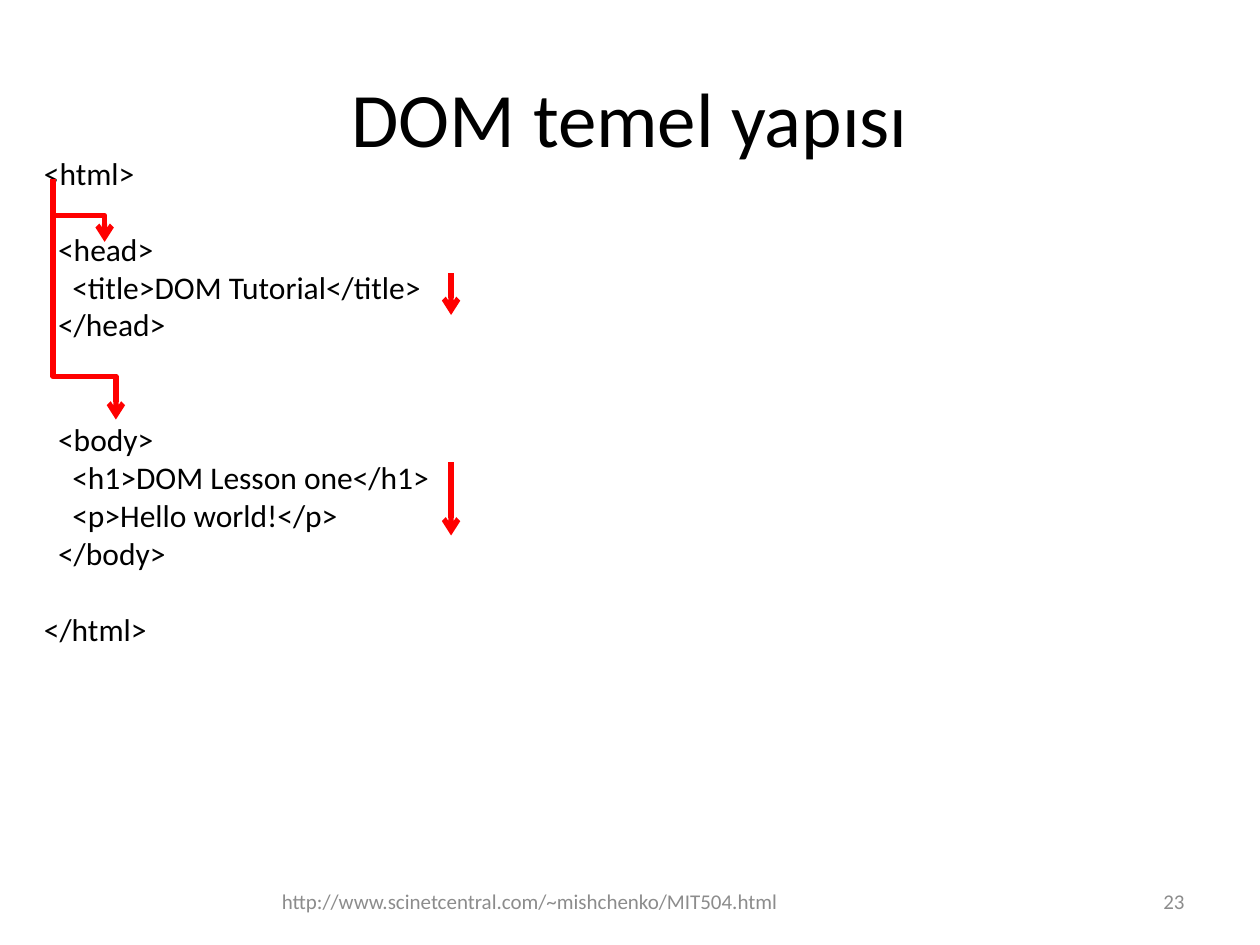
from lxml import etree
from pptx import Presentation
from pptx.dml.color import RGBColor
from pptx.enum.shapes import MSO_CONNECTOR
from pptx.enum.text import MSO_ANCHOR, PP_ALIGN
from pptx.oxml.ns import qn
from pptx.util import Inches, Pt

LEFT, CENTER, RIGHT = PP_ALIGN.LEFT, PP_ALIGN.CENTER, PP_ALIGN.RIGHT
TOP, MIDDLE = MSO_ANCHOR.TOP, MSO_ANCHOR.MIDDLE
STRAIGHT, ELBOW = MSO_CONNECTOR.STRAIGHT, MSO_CONNECTOR.ELBOW
FONT, BLACK, GRAY, RED = "Calibri", "000000", "8C8C8C", "FF0000"
LINE_HEIGHT = 22  # points, one line of 18 pt text

# Content
TITLE = "DOM temel yapısı"
ADDRESS = "http://www.scinetcentral.com/~mishchenko/MIT504.html"
PAGE_NUMBER = "23"
# Code lines, each with the number of empty lines above it
CODE = [
    ("<html>", 0),
    ("  <head>", 1),
    ("    <title>DOM Tutorial</title>", 0),
    ("  </head>", 0),
    ("  <body>", 2),
    ("    <h1>DOM Lesson one</h1>", 0),
    ("    <p>Hello world!</p>", 0),
    ("  </body>", 0),
    ("</html>", 1),
]
# Start, end and, for a bent arrow, the share of the drop before its turn
ARROWS = [
    ((0.42, 1.5), (0.83, 1.92), 0.5),
    ((0.42, 1.42), (0.92, 3.33), 0.82),
    ((3.58, 2.17), (3.58, 2.5), None),
    ((3.58, 3.67), (3.58, 4.25), None),
]


def color(value):
    return RGBColor.from_string(value)


def add_text(slide, lines, box, size=18, fill=BLACK, align=LEFT, anchor=TOP):
    """Add a text box; lines holds (text, empty lines above) pairs."""
    frame = slide.shapes.add_textbox(*map(Inches, box)).text_frame
    frame.word_wrap = True
    frame.vertical_anchor = anchor
    for index, (text, gap) in enumerate(lines):
        paragraph = frame.add_paragraph() if index else frame.paragraphs[0]
        paragraph.alignment = align
        if gap:
            paragraph.space_before = Pt(gap * LINE_HEIGHT)
        run = paragraph.add_run()
        run.text = text
        run.font.name = FONT
        run.font.size = Pt(size)
        run.font.color.rgb = color(fill)


def add_arrow(slide, start, end, turn=None):
    """Add a downward arrow, bent down-across-down when turn is given."""
    (x1, y1), (x2, y2) = start, end
    if turn is not None:
        # The elbow runs sideways by nature: swap its sides about the centre
        middle_x, middle_y = (x1 + x2) / 2, (y1 + y2) / 2
        half_width, half_height = (y2 - y1) / 2, (x2 - x1) / 2
        x1, x2 = middle_x - half_width, middle_x + half_width
        y1, y2 = middle_y - half_height, middle_y + half_height
    kind = STRAIGHT if turn is None else ELBOW
    connector = slide.shapes.add_connector(kind, *map(Inches, (x1, y1, x2, y2)))
    connector.line.color.rgb = color(RED)
    connector.line.width = Pt(3)
    properties = connector.element.spPr
    if turn is not None:
        transform = properties.find(qn("a:xfrm"))
        transform.set("rot", str(270 * 60000))
        transform.set("flipH", "1")
        adjustments = properties.find(qn("a:prstGeom")).find(qn("a:avLst"))
        etree.SubElement(adjustments, qn("a:gd"), name="adj1",
                         fmla=f"val {round(turn * 100000)}")
    etree.SubElement(properties.find(qn("a:ln")), qn("a:tailEnd"), type="arrow")
    etree.SubElement(properties, qn("a:effectLst"))


def main():
    presentation = Presentation()
    presentation.slide_width, presentation.slide_height = Inches(10), Inches(7.5)
    slide = presentation.slides.add_slide(presentation.slide_layouts[6])

    # Title and footer
    add_text(slide, [(TITLE, 0)], (0.5, 0.3, 9, 1.25),
             size=44, align=CENTER, anchor=MIDDLE)
    add_text(slide, [(ADDRESS, 0)], (1.83, 6.95, 4.75, 0.4),
             size=12, fill=GRAY, align=CENTER, anchor=MIDDLE)
    add_text(slide, [(PAGE_NUMBER, 0)], (7.17, 6.95, 2.33, 0.4),
             size=12, fill=GRAY, align=RIGHT, anchor=MIDDLE)

    # Code and the arrows between its elements
    add_text(slide, CODE, (0.25, 1.17, 3.67, 4.04))
    for start, end, turn in ARROWS:
        add_arrow(slide, start, end, turn)

    presentation.save("out.pptx")


if __name__ == "__main__":
    main()
